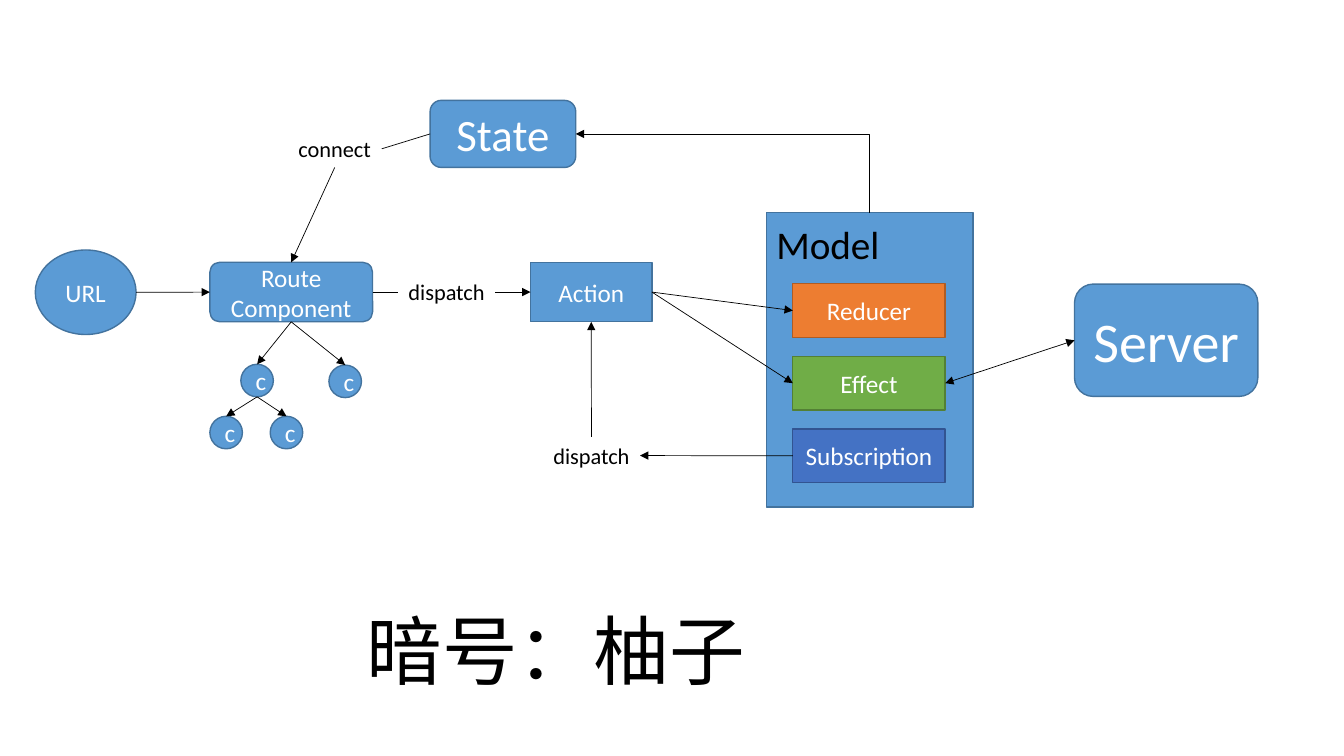
from lxml import etree
from pptx import Presentation
from pptx.dml.color import RGBColor
from pptx.enum.shapes import MSO_CONNECTOR, MSO_SHAPE
from pptx.enum.text import MSO_ANCHOR, MSO_AUTO_SIZE, PP_ALIGN
from pptx.oxml.ns import qn
from pptx.util import Cm, Pt

RECT, ROUND, OVAL = MSO_SHAPE.RECTANGLE, MSO_SHAPE.ROUNDED_RECTANGLE, MSO_SHAPE.OVAL
STRAIGHT, ELBOW = MSO_CONNECTOR.STRAIGHT, MSO_CONNECTOR.ELBOW
CENTER, MIDDLE = PP_ALIGN.CENTER, MSO_ANCHOR.MIDDLE
FIT_SHAPE = MSO_AUTO_SIZE.SHAPE_TO_FIT_TEXT

FONT = "Calibri"
COLORS = {
    "blue": "5B9BD5", "blue_line": "43739E",
    "orange": "ED7D31", "orange_line": "AF5C24",
    "green": "70AD47", "green_line": "538035",
    "indigo": "4472C4", "indigo_line": "325491",
    "white": "FFFFFF", "black": "000000",
}
SIDES = ("top", "left", "bottom", "right")


def rgb(name):
    """Return a named colour."""
    return RGBColor.from_string(COLORS[name])


def write(tf, text, size, color):
    """Fill a text frame with one centred paragraph per line of text."""
    for i, line in enumerate(text.split("\n")):
        p = tf.add_paragraph() if i else tf.paragraphs[0]
        p.text = line
        p.alignment = CENTER
        p.font.size = Pt(size)
        p.font.name = FONT
        p.font.color.rgb = rgb(color)


def add_node(slide, kind, box, text="", size=18, color="blue"):
    """Add a filled, outlined shape with centred white text."""
    sp = slide.shapes.add_shape(kind, *map(Cm, box))
    sp.shadow.inherit = False
    sp.fill.solid()
    sp.fill.fore_color.rgb = rgb(color)
    sp.line.color.rgb = rgb(color + "_line")
    sp.line.width = Pt(1)
    sp.text_frame.vertical_anchor = MIDDLE
    sp.text_frame.word_wrap = True
    if text:
        write(sp.text_frame, text, size, "white")
    return sp


def add_label(slide, box, text, size=16):
    """Add a black text label that does not wrap."""
    sp = slide.shapes.add_textbox(*map(Cm, box))
    sp.text_frame.word_wrap = False
    sp.text_frame.auto_size = FIT_SHAPE
    write(sp.text_frame, text, size, "black")
    return sp


def side_point(sp, side):
    """Return the midpoint of one side of a shape."""
    dx, dy = {"top": (1, 0), "left": (0, 1), "bottom": (1, 2), "right": (2, 1)}[side]
    return sp.left + sp.width * dx // 2, sp.top + sp.height * dy // 2


def glue(cxn, tag, sp, side, step):
    """Attach one connector end to a connection site of a shape."""
    props = cxn._element.find(".//" + qn("p:cNvCxnSpPr"))
    site = SIDES.index(side) * step
    etree.SubElement(props, qn(tag), id=str(sp.shape_id), idx=str(site))


def connect(slide, start, side1, end, side2, heads=("tail",), elbow=False):
    """Join two shapes by a thin line; an elbow leaves upwards and turns left."""
    (x1, y1), (x2, y2) = side_point(start, side1), side_point(end, side2)
    if elbow:  # the frame is turned by 270 degrees about its centre
        cx, cy, dx, dy = (x1 + x2) // 2, (y1 + y2) // 2, (x1 - x2) // 2, (y1 - y2) // 2
        cxn = slide.shapes.add_connector(ELBOW, cx - dy, cy + dx, cx + dy, cy - dx)
        cxn._element.spPr.find(qn("a:xfrm")).set("rot", "16200000")
        cxn._element.spPr.find(qn("a:prstGeom")).set("prst", "bentConnector2")
    else:
        cxn = slide.shapes.add_connector(STRAIGHT, x1, y1, x2, y2)
    for tag, sp, side in (("a:stCxn", start, side1), ("a:endCxn", end, side2)):
        prst = sp._element.spPr.find(qn("a:prstGeom")).get("prst")
        glue(cxn, tag, sp, side, 2 if prst == "ellipse" else 1)
    cxn.line.color.rgb = rgb("black")
    cxn.line.width = Pt(0.5)
    ln = cxn._element.spPr.find(qn("a:ln"))
    for head in heads:
        etree.SubElement(ln, qn(f"a:{head}End"), type="triangle")
    etree.SubElement(cxn._element.spPr, qn("a:effectLst"))


def main():
    """Build the data flow slide."""
    prs = Presentation()
    prs.slide_width, prs.slide_height = Cm(33.87), Cm(19.05)
    slide = prs.slides.add_slide(prs.slide_layouts[6])

    url = add_node(slide, OVAL, (0.89, 6.3, 2.54, 2.13), "URL")
    route = add_node(slide, ROUND, (5.29, 6.61, 4.1, 1.5), "Route\nComponent")
    child_left, child_right, leaf_right, leaf_left = [
        add_node(slide, OVAL, (x, y, 0.82, 0.82), "c")
        for x, y in ((6.07, 9.18), (8.29, 9.2), (6.81, 10.49), (5.29, 10.49))
    ]
    dispatch = add_label(slide, (10.03, 6.89, 2.45, 0.94), "dispatch")
    action = add_node(slide, RECT, (13.37, 6.61, 3.06, 1.5), "Action")
    link = add_label(slide, (7.25, 3.28, 2.37, 0.94), "connect")
    state = add_node(slide, ROUND, (10.84, 2.53, 3.67, 1.69), "State", 32)

    model = add_node(slide, RECT, (19.31, 5.36, 5.21, 7.42))
    add_label(slide, (19.29, 5.43, 3.15, 1.45), "Model", 28)
    reducer, effect, subscription = [
        add_node(slide, RECT, (19.98, 7.15 + 1.83 * i, 3.84, 1.35), text, color=color)
        for i, (text, color) in enumerate(
            (("Reducer", "orange"), ("Effect", "green"), ("Subscription", "indigo")))
    ]
    server = add_node(slide, ROUND, (27.08, 7.16, 4.62, 2.83), "Server", 40)
    redispatch = add_label(slide, (13.68, 11.01, 2.45, 0.94), "dispatch")

    for start, side1, end, side2 in (
        (url, "right", route, "left"),
        (link, "bottom", route, "top"),
        (dispatch, "right", action, "left"),
        (route, "bottom", child_right, "top"),
        (route, "bottom", child_left, "top"),
        (child_left, "bottom", leaf_left, "top"),
        (child_left, "bottom", leaf_right, "top"),
        (action, "right", reducer, "left"),
        (action, "right", effect, "left"),
        (subscription, "left", redispatch, "right"),
        (redispatch, "top", action, "bottom"),
    ):
        connect(slide, start, side1, end, side2)
    connect(slide, state, "left", link, "right", heads=())
    connect(slide, route, "right", dispatch, "left", heads=())
    connect(slide, effect, "right", server, "left", heads=("head", "tail"))
    connect(slide, model, "top", state, "right", elbow=True)

    add_label(slide, (8.94, 15.09, 10.13, 2.56), "暗号：柚子", 54)
    prs.save("out.pptx")


main()
